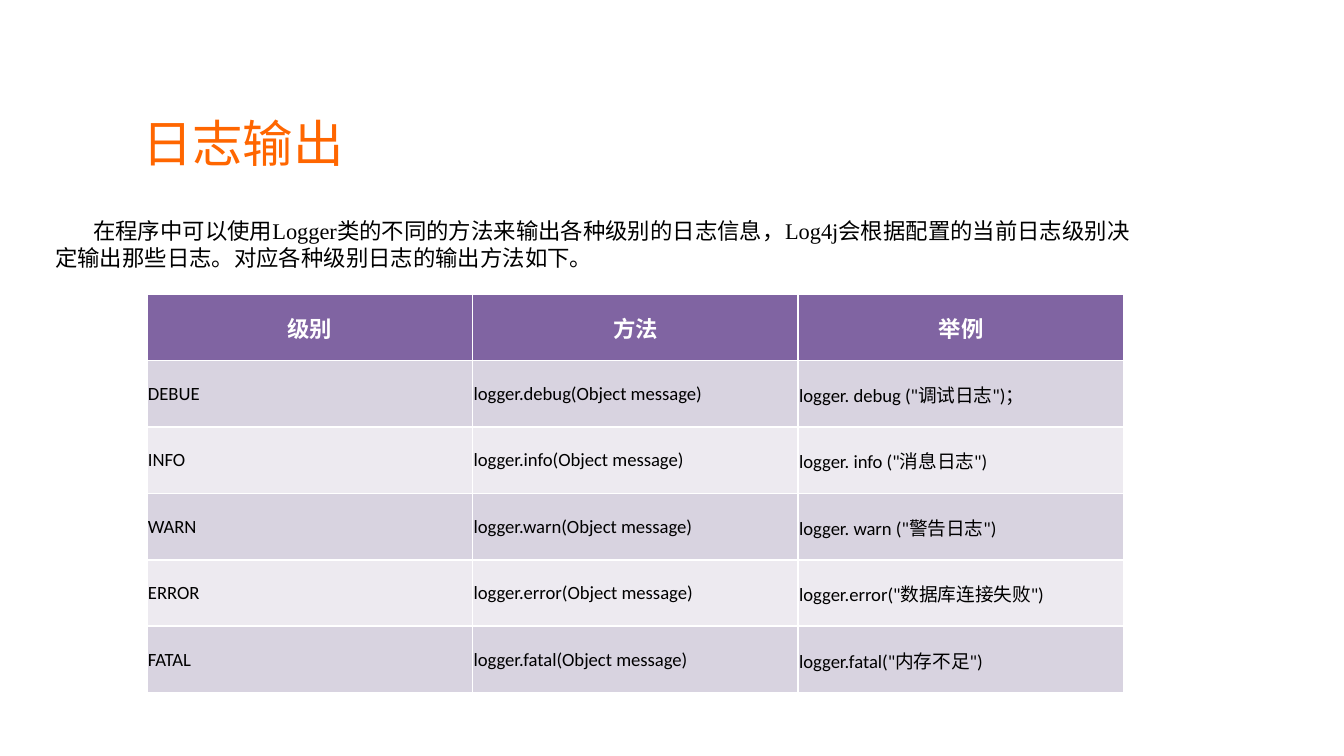
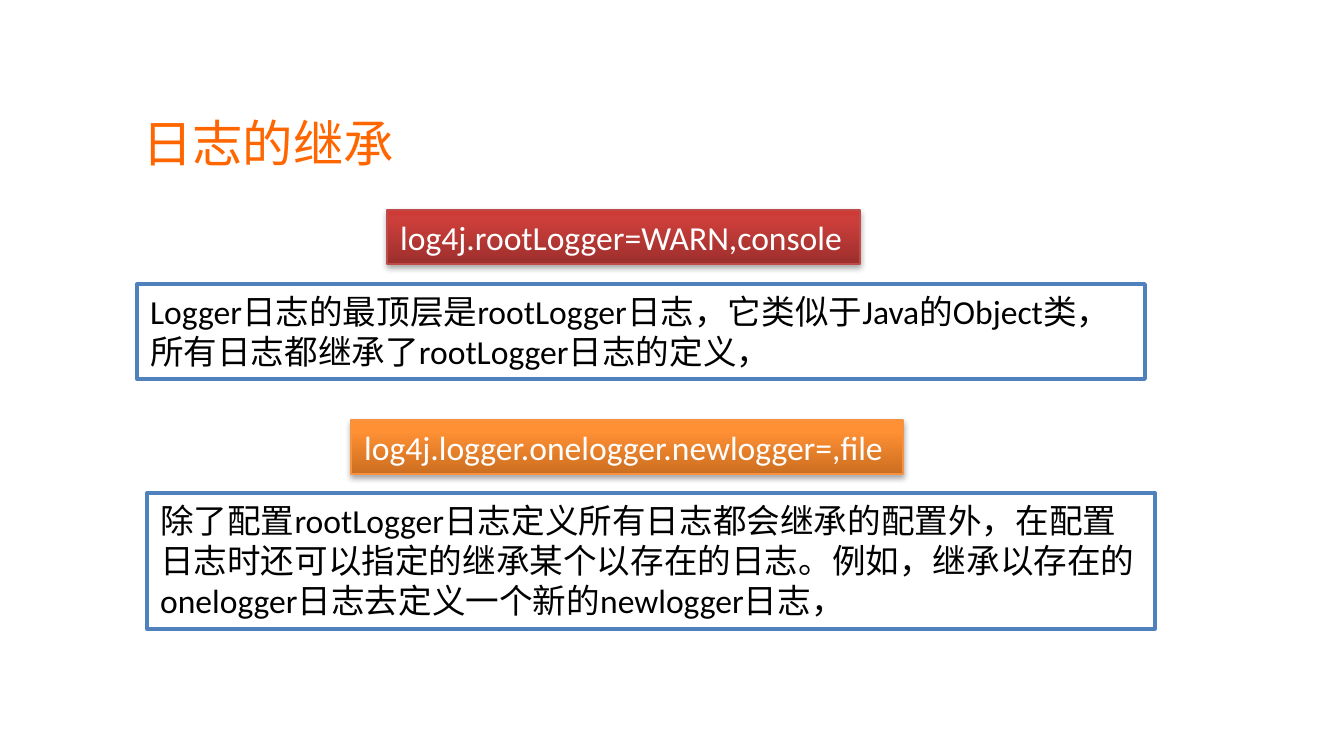
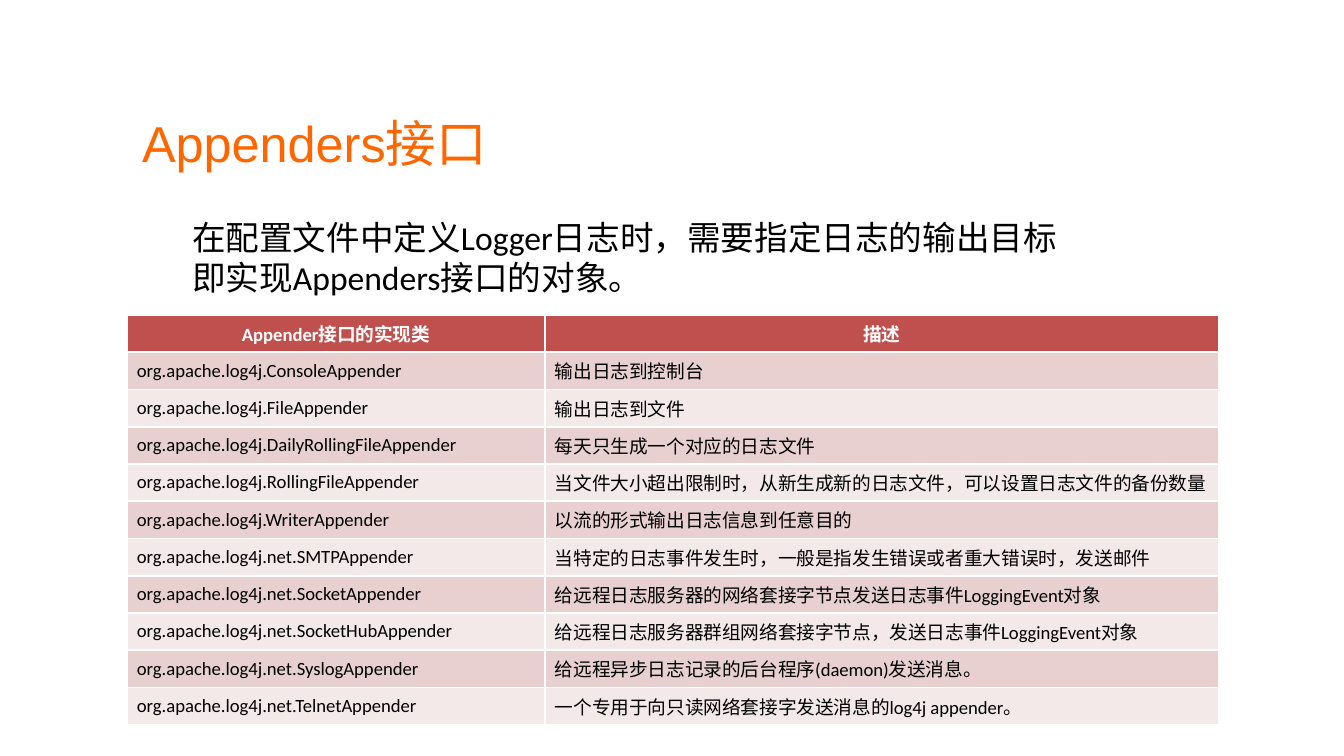
from lxml.etree import SubElement
from pptx import Presentation
from pptx.dml.color import RGBColor
from pptx.enum.shapes import MSO_SHAPE
from pptx.enum.text import MSO_ANCHOR, MSO_AUTO_SIZE, PP_ALIGN
from pptx.oxml.ns import qn
from pptx.util import Pt

EMU_PER_PX = 914400 / 134.4
ORANGE_TITLE = RGBColor(0xFF, 0x66, 0x00)
BLACK = RGBColor(0x00, 0x00, 0x00)
WHITE = RGBColor(0xFF, 0xFF, 0xFF)
BLUE = RGBColor(0x4F, 0x81, 0xBD)
RED_EDGE = RGBColor(0xBF, 0x4C, 0x48)
ORANGE_EDGE = RGBColor(0xF6, 0x92, 0x40)
# Gradient colours from the bottom up, at 0, 80 and 100 percent
RED_GLOSS = [RGBColor(0x9C, 0x2F, 0x2D), RGBColor(0xCB, 0x3E, 0x3A), RGBColor(0xCE, 0x3B, 0x37)]
ORANGE_GLOSS = [RGBColor(0xCC, 0x6E, 0x20), RGBColor(0xFF, 0x90, 0x34), RGBColor(0xFF, 0x91, 0x36)]
# Table colours: header, odd rows, even rows
PURPLE_BANDS = [RGBColor(0x80, 0x64, 0xA2), RGBColor(0xD8, 0xD3, 0xE0), RGBColor(0xED, 0xEA, 0xF0)]
RED_BANDS = [RGBColor(0xC0, 0x50, 0x4D), RGBColor(0xE8, 0xD0, 0xD0), RGBColor(0xF4, 0xE9, 0xE9)]

LEVELS = [
    ("级别", "方法", "举例"),
    ("DEBUE", "logger.debug(Object message)", 'logger. debug ("调试日志")；'),
    ("INFO", "logger.info(Object message)", 'logger. info ("消息日志")'),
    ("WARN", "logger.warn(Object message)", 'logger. warn ("警告日志")'),
    ("ERROR", "logger.error(Object message)", 'logger.error("数据库连接失败")'),
    ("FATAL", "logger.fatal(Object message)", 'logger.fatal("内存不足")'),
]
APPENDERS = [
    ("ConsoleAppender", "输出日志到控制台"),
    ("FileAppender", "输出日志到文件"),
    ("DailyRollingFileAppender", "每天只生成一个对应的日志文件"),
    ("RollingFileAppender", "当文件大小超出限制时，从新生成新的日志文件，可以设置日志文件的备份数量"),
    ("WriterAppender", "以流的形式输出日志信息到任意目的"),
    ("net.SMTPAppender", "当特定的日志事件发生时，一般是指发生错误或者重大错误时，发送邮件"),
    ("net.SocketAppender", "给远程日志服务器的网络套接字节点发送日志事件LoggingEvent对象"),
    ("net.SocketHubAppender", "给远程日志服务器群组网络套接字节点，发送日志事件LoggingEvent对象"),
    ("net.SyslogAppender", "给远程异步日志记录的后台程序(daemon)发送消息。"),
    ("net.TelnetAppender", "一个专用于向只读网络套接字发送消息的log4j appender。"),
]


def px(n):
    return round(n * EMU_PER_PX)


class Deck:
    def __init__(self):
        self.prs = Presentation()
        self.prs.slide_width, self.prs.slide_height = px(1344), px(756)
        self.slide = None

    def add_slide(self, title):
        self.slide = self.prs.slides.add_slide(self.prs.slide_layouts[5])
        s = self.slide.shapes.title
        s.left, s.top, s.width, s.height = map(px, (132, 90, 1097, 104))
        tf = s.text_frame
        tf.auto_size = MSO_AUTO_SIZE.NONE
        tf.vertical_anchor = MSO_ANCHOR.MIDDLE
        self.set_insets(tf, 10, 5)
        self.set_text(tf, title, 27, ORANGE_TITLE, "Arial")

    def set_insets(self, tf, side, top, bottom=None):
        tf.margin_left = tf.margin_right = px(side)
        tf.margin_top = px(top)
        tf.margin_bottom = px(top if bottom is None else bottom)

    def set_text(self, tf, text, size, color=BLACK, font="Calibri", bold=False,
                 align=PP_ALIGN.LEFT):
        p = tf.paragraphs[0]
        p.text = text
        p.alignment = align
        p.font.name, p.font.size, p.font.bold = font, Pt(size), bold
        p.font.color.rgb = color
        return p

    def fit(self, tf, wrap=True, anchor=MSO_ANCHOR.TOP):
        """Let the shape grow with its text."""
        tf.word_wrap = wrap
        tf.auto_size = MSO_AUTO_SIZE.SHAPE_TO_FIT_TEXT
        tf.vertical_anchor = anchor

    def text(self, box, text, size=18, font="Calibri", anchor=MSO_ANCHOR.TOP, indent=0):
        tf = self.slide.shapes.add_textbox(*map(px, box)).text_frame
        self.fit(tf, anchor=anchor)
        p = self.set_text(tf, text, size, font=font)
        if indent:
            p._p.get_or_add_pPr().set("indent", str(px(indent)))

    def rect(self, box, text, color, edge, edge_width, wrap):
        s = self.slide.shapes.add_shape(MSO_SHAPE.RECTANGLE, *map(px, box))
        s.shadow.inherit = False
        s.line.color.rgb, s.line.width = edge, Pt(edge_width)
        self.fit(s.text_frame, wrap)
        self.set_text(s.text_frame, text, 18, color)
        return s

    def note(self, box, text):
        s = self.rect(box, text, BLACK, BLUE, 2, True)
        s.fill.solid()
        s.fill.fore_color.rgb = WHITE

    def code_label(self, box, text, gloss, edge):
        """Draw a glossy rectangle with a soft shadow and one line of code."""
        s = self.rect(box, text, WHITE, edge, 0.75, False)
        s.fill.gradient()
        s.fill.gradient_angle = 90
        spPr = s._element.spPr
        stops = spPr.find(".//" + qn("a:gsLst"))
        stops.clear()
        for percent, color in zip((0, 80, 100), gloss):
            gs = SubElement(stops, qn("a:gs"), pos=str(percent * 1000))
            SubElement(gs, qn("a:srgbClr"), val=str(color))
        shadow = SubElement(spPr.find(qn("a:effectLst")), qn("a:outerShdw"), blurRad="40000",
                            dist="23000", dir="5400000", rotWithShape="0")
        black = SubElement(shadow, qn("a:srgbClr"), val=str(BLACK))
        SubElement(black, qn("a:alpha"), val="35000")

    def table(self, box, widths, rows, bands, insets, head_size, body_align, space=0):
        tbl = self.slide.shapes.add_table(len(rows), len(widths), *map(px, box)).table
        for col, width in zip(tbl.columns, widths):
            col.width = px(width)
        for i, row in enumerate(rows):
            head = i == 0
            for j, value in enumerate(row):
                cell = tbl.cell(i, j)
                cell.fill.solid()
                cell.fill.fore_color.rgb = bands[0 if head else 2 - i % 2]
                cell.vertical_anchor = MSO_ANCHOR.MIDDLE
                self.set_insets(cell, *insets)
                p = self.set_text(cell.text_frame, value, head_size if head else 10,
                                  WHITE if head else BLACK, bold=head,
                                  align=PP_ALIGN.CENTER if head else body_align)
                p.space_before = p.space_after = Pt(space)


def main():
    deck = Deck()

    deck.add_slide("日志输出")
    deck.table((147, 294, 977, 399), [977 / 3] * 3, LEVELS, PURPLE_BANDS,
               (1, 1, 0), 12, PP_ALIGN.LEFT)
    deck.text((42, 210, 1102, 68),
              "在程序中可以使用Logger类的不同的方法来输出各种级别的日志信息，"
              "Log4j会根据配置的当前日志级别决定输出那些日志。对应各种级别日志的输出方法如下。",
              12, "Times New Roman", MSO_ANCHOR.MIDDLE, 38)

    deck.add_slide("日志的继承")
    deck.code_label((387, 210, 473, 54), "log4j.rootLogger=WARN,console", RED_GLOSS, RED_EDGE)
    deck.note((137, 284, 1008, 95),
              "Logger日志的最顶层是rootLogger日志，它类似于Java的Object类，"
              "所有日志都继承了rootLogger日志的定义，")
    deck.code_label((351, 420, 552, 54), "log4j.logger.onelogger.newlogger=,file",
                    ORANGE_GLOSS, ORANGE_EDGE)
    deck.note((147, 493, 1008, 136),
              "除了配置rootLogger日志定义所有日志都会继承的配置外，"
              "在配置日志时还可以指定的继承某个以存在的日志。"
              "例如，继承以存在的onelogger日志去定义一个新的newlogger日志，")

    deck.add_slide("Appenders接口")
    deck.text((179, 210, 914, 95),
              "在配置文件中定义Logger日志时，需要指定日志的输出目标即实现Appenders接口的对象。")
    rows = [("Appender接口的实现类", "描述")]
    rows += [("org.apache.log4j." + name, about) for name, about in APPENDERS]
    deck.table((127, 315, 1092, 410), [418, 674], rows, RED_BANDS,
               (10, 0), 10, PP_ALIGN.JUSTIFY, 1.2)

    deck.prs.save("out.pptx")


if __name__ == "__main__":
    main()
